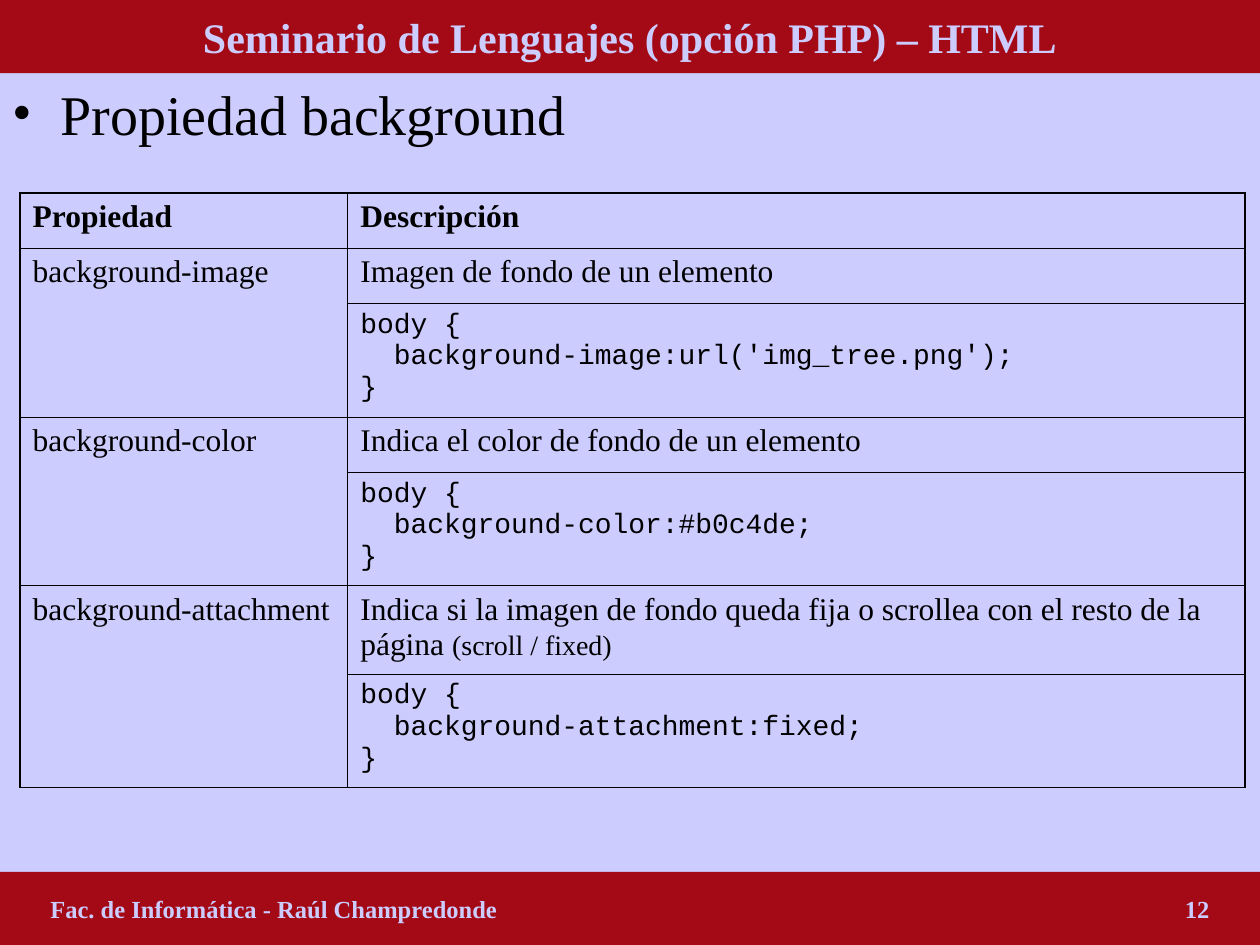
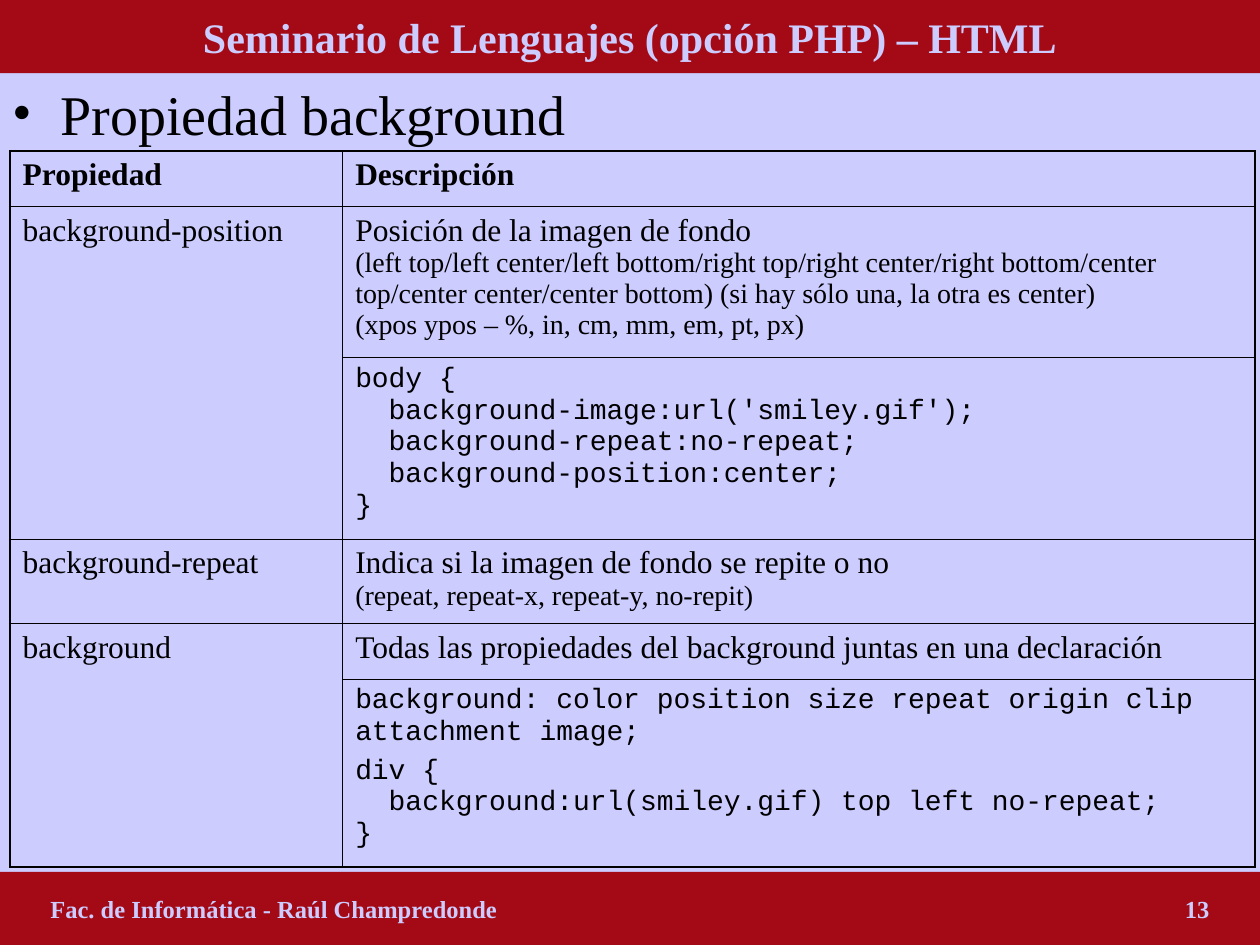
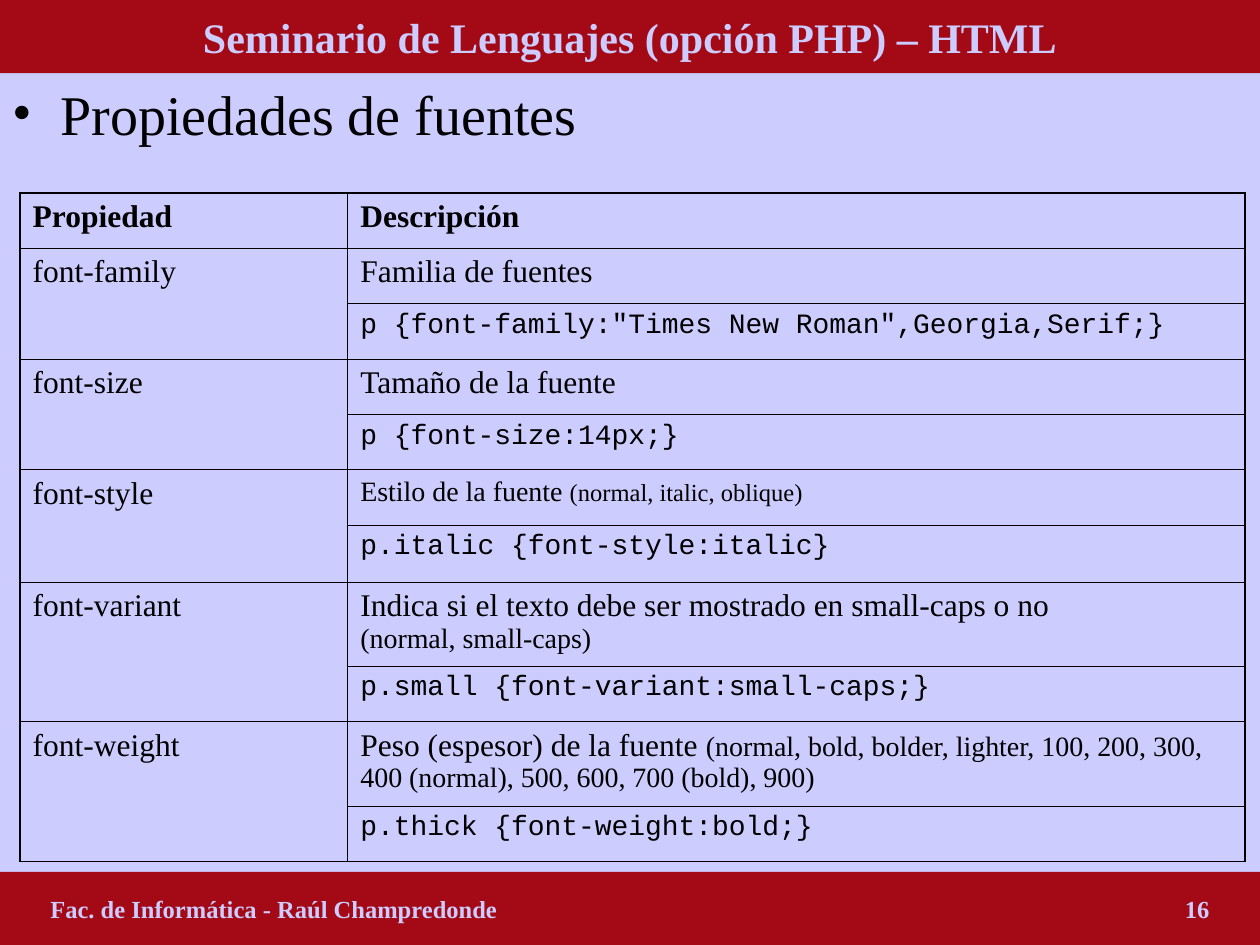
import pptx
import pptx.util
import pptx.dml.color
import pptx.enum.shapes
import pptx.enum.text
import pptx.oxml
import pptx.oxml.ns
from pptx.util import Inches

LILAC = pptx.dml.color.RGBColor(0xCC, 0xCC, 0xFF)
RED = pptx.dml.color.RGBColor(0xA3, 0x0A, 0x16)
BLACK = pptx.dml.color.RGBColor(0, 0, 0)
SERIF = "Times New Roman"
MONO = "Courier New"
MIDDLE = pptx.enum.text.MSO_ANCHOR.MIDDLE
NS = pptx.oxml.ns.nsdecls("a")
THICK, THIN = 1.08, 0.45

# Each entry: property, text size, description, smaller remark, code blocks
PAGES = [
    {
        "topic": "Propiedad background",
        "number": 12,
        "place": (0.16, 1.53),
        "cols": (2.6, 7.12),
        "rows": (0.44, 0.44, 0.9, 0.44, 0.9, 0.7, 0.9),
        "entries": [
            ("background-image", 18, "Imagen de fondo de un elemento", "",
             "body {\n  background-image:url('img_tree.png');\n}"),
            ("background-color", 18, "Indica el color de fondo de un elemento", "",
             "body {\n  background-color:#b0c4de;\n}"),
            ("background-attachment", 18,
             "Indica si la imagen de fondo queda fija o scrollea con el resto de la página ",
             "(scroll / fixed)",
             "body {\n  background-attachment:fixed;\n}"),
        ],
    },
    {
        "topic": "Propiedad background",
        "number": 13,
        "place": (0.08, 1.2),
        "cols": (2.64, 7.24),
        "rows": (0.44, 1.2, 1.44, 0.67, 0.44, 1.49),
        "entries": [
            ("background-position", 18, "Posición de la imagen de fondo\n",
             "(left top/left center/left bottom/right top/right center/right bottom/center "
             "top/center center/center bottom) (si hay sólo una, la otra es center)\n"
             "(xpos ypos – %, in, cm, mm, em, pt, px)",
             "body {\n  background-image:url('smiley.gif');\n"
             "  background-repeat:no-repeat;\n  background-position:center;\n}"),
            ("background-repeat", 18, "Indica si la imagen de fondo se repite o no\n",
             "(repeat, repeat-x, repeat-y, no-repit)"),
            ("background", 18,
             "Todas las propiedades del background juntas en una declaración", "",
             "background: color position size repeat origin clip attachment image;",
             "div {\n  background:url(smiley.gif) top left no-repeat;\n}"),
        ],
    },
    {
        "topic": "Propiedades de fuentes",
        "number": 16,
        "place": (0.16, 1.53),
        "cols": (2.6, 7.12),
        "rows": (0.44,) * 6 + (0.45, 0.67, 0.44, 0.67, 0.44),
        "entries": [
            ("font-family", 18, "Familia de fuentes", "",
             'p {font-family:"Times New Roman",Georgia,Serif;}'),
            ("font-size", 18, "Tamaño de la fuente", "", "p {font-size:14px;}"),
            ("font-style", 16, "Estilo de la fuente ", "(normal, italic, oblique)",
             "p.italic {font-style:italic}"),
            ("font-variant", 18,
             "Indica si el texto debe ser mostrado en small-caps o no \n",
             "(normal, small-caps)", "p.small {font-variant:small-caps;}"),
            ("font-weight", 18, "Peso (espesor) de la fuente ",
             "(normal, bold, bolder, lighter, 100, 200, 300, 400 (normal), 500, 600, "
             "700 (bold), 900)", "p.thick {font-weight:bold;}"),
        ],
    },
]


def style(part, size, color=BLACK, bold=False, face=SERIF):
    """Set the font of a paragraph or a run."""
    part.font.name = face
    part.font.size = pptx.util.Pt(size)
    part.font.bold = bold
    part.font.color.rgb = color


def write(cell, text, size=18, bold=False, face=SERIF, small=""):
    """Fill a cell with text, followed by a remark two points smaller."""
    par = cell.text_frame.paragraphs[0]
    par.text = text
    style(par, size, bold=bold, face=face)
    if small:
        for i, line in enumerate(small.split("\n")):
            if i:
                par.add_line_break()
            run = par.add_run()
            run.text = line
            run.font.size = pptx.util.Pt(size - 2)


prs = pptx.Presentation()
prs.slide_width = Inches(10)
prs.slide_height = Inches(7.5)
back = prs.slide_master.background.fill
back.solid()
back.fore_color.rgb = LILAC

for page in PAGES:
    slide = prs.slides.add_slide(prs.slide_layouts[5])

    # Topic
    box = slide.shapes.add_textbox(0, Inches(0.58), Inches(10), Inches(6.33))
    frame = box.text_frame
    frame.word_wrap = True
    par = frame.paragraphs[0]
    par.text = page["topic"]
    props = par._p.get_or_add_pPr()
    props.set("marL", str(Inches(0.38)))
    props.set("indent", str(-Inches(0.38)))
    props.append(pptx.oxml.parse_xml(f'<a:buFont {NS} typeface="{SERIF}"/>'))
    props.append(pptx.oxml.parse_xml(f'<a:buChar {NS} char="•"/>'))
    # The bullet takes its size from the run
    style(par.runs[0], 32)

    # Title band
    title = slide.shapes.title
    title.left, title.top = 0, 0
    title.width, title.height = Inches(10), Inches(0.58)
    title.fill.solid()
    title.fill.fore_color.rgb = RED
    frame = title.text_frame
    frame.auto_size = pptx.enum.text.MSO_AUTO_SIZE.NONE
    frame.vertical_anchor = MIDDLE
    par = frame.paragraphs[0]
    par.text = "Seminario de Lenguajes (opción PHP) – HTML"
    par.alignment = pptx.enum.text.PP_ALIGN.CENTER
    style(par, 24, LILAC, bold=True)

    # Footer band
    foot = slide.shapes.add_shape(pptx.enum.shapes.MSO_SHAPE.RECTANGLE,
                                  0, Inches(6.92), Inches(10), Inches(0.58))
    foot.shadow.inherit = False
    foot.fill.solid()
    foot.fill.fore_color.rgb = RED
    foot.line.fill.background()
    frame = foot.text_frame
    frame.word_wrap = True
    frame.vertical_anchor = MIDDLE
    frame.margin_left = Inches(0.4)
    par = frame.paragraphs[0]
    par.text = f"Fac. de Informática - Raúl Champredonde\t{page['number']}"
    par.alignment = pptx.enum.text.PP_ALIGN.LEFT
    par._p.get_or_add_pPr().append(pptx.oxml.parse_xml(
        f'<a:tabLst {NS}><a:tab pos="{Inches(9.2)}" algn="r"/></a:tabLst>'))
    style(par, 14, LILAC, bold=True)

    # Property table
    cols, rows = page["cols"], page["rows"]
    left, top = page["place"]
    table = slide.shapes.add_table(len(rows), 2, Inches(left), Inches(top),
                                   Inches(sum(cols)), Inches(sum(rows))).table
    table.first_row = table.horz_banding = False
    for col, width in zip(table.columns, cols):
        col.width = Inches(width)
    for row, height in zip(table.rows, rows):
        row.height = Inches(height)

    write(table.cell(0, 0), "Propiedad", bold=True)
    write(table.cell(0, 1), "Descripción", bold=True)
    r = 1
    for key, size, text, small, *blocks in page["entries"]:
        write(table.cell(r, 0), key)
        write(table.cell(r, 1), text, size, small=small)
        if blocks:
            table.cell(r, 0).merge(table.cell(r + 1, 0))
            r += 1
            code = table.cell(r, 1)
            write(code, blocks[0], 16, face=MONO)
            for block in blocks[1:]:
                par = code.text_frame.add_paragraph()
                par.text = block
                par.space_before = pptx.util.Pt(4)
                style(par, 16, face=MONO)
        r += 1

    # Thick outer frame, thin inner lines
    for r in range(len(rows)):
        for c in range(2):
            cell = table.cell(r, c)
            last = r + cell.span_height == len(rows)
            outer = {"L": c == 0, "R": c == 1, "T": r == 0, "B": last}
            props = cell._tc.get_or_add_tcPr()
            for side, thick in outer.items():
                width = pptx.util.Pt(THICK if thick else THIN)
                props.append(pptx.oxml.parse_xml(
                    f'<a:ln{side} {NS} w="{width}"><a:solidFill>'
                    f'<a:srgbClr val="{BLACK}"/></a:solidFill></a:ln{side}>'))
            cell.fill.background()

prs.save("out.pptx")
